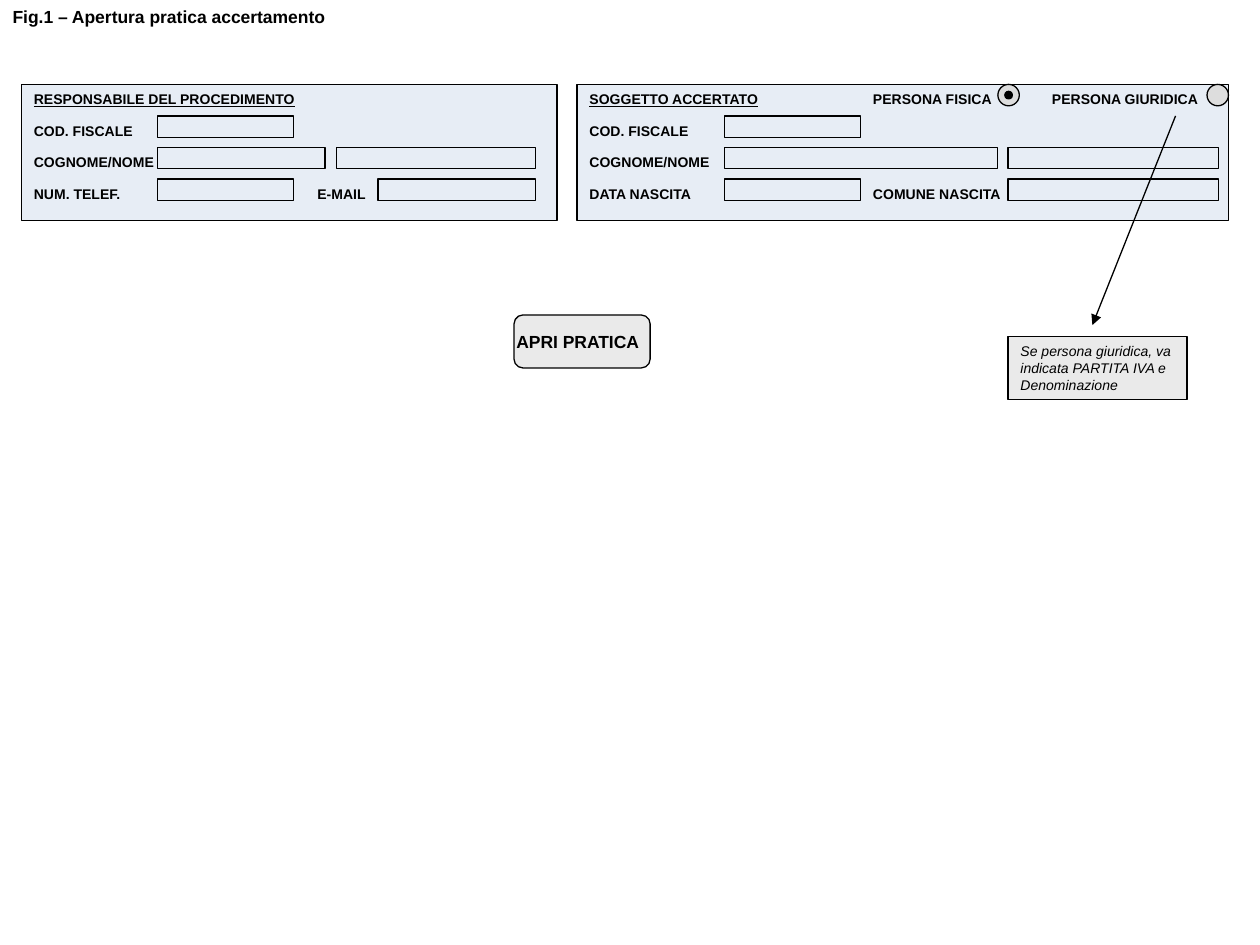
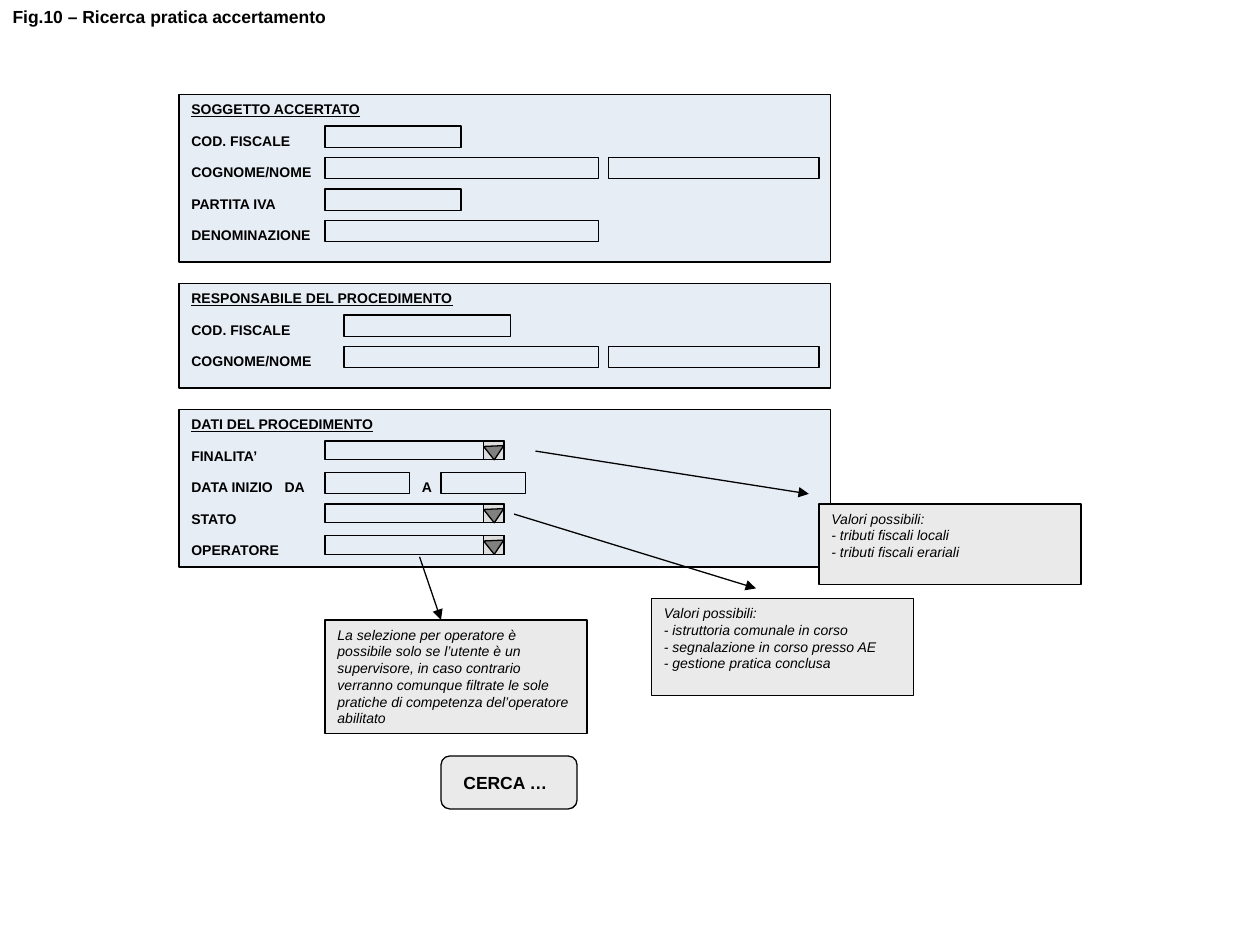
from dataclasses import dataclass

from lxml.etree import SubElement
from pptx import Presentation
from pptx.dml.color import RGBColor
from pptx.enum.shapes import MSO_CONNECTOR, MSO_SHAPE as Preset
from pptx.enum.text import MSO_ANCHOR, MSO_AUTO_SIZE, PP_ALIGN
from pptx.oxml.ns import qn
from pptx.shapes.autoshape import Shape
from pptx.slide import Slide
from pptx.util import Inches, Pt

# Shared look
FONT = "Arial"
INK = "000000"
PANEL_FILL = "E7EDF5"
NOTE_FILL = "EAEAEA"
CONTROL_FILL = "DDDDDD"
ARROW_FILL = "808080"
ROW_PITCH = 0.25
LABEL_HEIGHT = 0.24
FIELD_HEIGHT = 0.17
SELECT_HEIGHT = 0.15
SELECT_WIDTH = 1.42
SELECT_BUTTON = 0.16
RADIO_SIZE = 0.17
RADIO_DOT = 0.06


@dataclass
class Label:
    text: str
    left: float
    width: float
    underline: bool = False


@dataclass
class Field:
    left: float
    width: float


@dataclass
class Select:
    left: float


@dataclass
class Radio:
    left: float
    chosen: bool = False


Item = Label | Field | Select | Radio


@dataclass
class Panel:
    left: float
    top: float
    width: float
    height: float
    rows: list[list[Item]]  # the first row holds the heading


@dataclass
class Note:
    left: float
    top: float
    width: float
    height: float
    lines: list[str]


@dataclass
class Arrow:
    start: tuple[float, float]
    end: tuple[float, float]


@dataclass
class Button:
    left: float
    top: float
    caption: str
    caption_left: float
    caption_width: float


@dataclass
class Screen:
    title: str
    panels: list[Panel]
    arrows: list[Arrow]
    notes: list[Note]
    button: Button


def color(value: str) -> RGBColor:
    return RGBColor.from_string(value)


def write(shape: Shape, lines: list[str], size: float, bold: bool = False,
          italic: bool = False, underline: bool = False) -> None:
    frame = shape.text_frame
    frame.word_wrap = True
    frame.auto_size = MSO_AUTO_SIZE.NONE
    frame.vertical_anchor = MSO_ANCHOR.TOP
    frame.margin_left = frame.margin_right = Inches(0.1)
    frame.margin_top = frame.margin_bottom = Inches(0.05)
    paragraph = frame.paragraphs[0]
    paragraph.alignment = PP_ALIGN.LEFT
    for index, line in enumerate(lines):
        if index:
            paragraph.add_line_break()
        run = paragraph.add_run()
        run.text = line
        font = run.font
        font.name, font.size = FONT, Pt(size)
        font.bold, font.italic, font.underline = bold, italic, underline
        font.color.rgb = color(INK)


def draw_shape(slide: Slide, preset: Preset, left: float, top: float, width: float,
               height: float, fill: str | None = None) -> Shape:
    shape = slide.shapes.add_shape(
        preset, Inches(left), Inches(top), Inches(width), Inches(height))
    shape.shadow.inherit = False
    if fill:
        shape.fill.solid()
        shape.fill.fore_color.rgb = color(fill)
    else:
        shape.fill.background()
    shape.line.color.rgb = color(INK)
    shape.line.width = Pt(0.75)
    return shape


def draw_text(slide: Slide, text: str, left: float, top: float, width: float,
              height: float = LABEL_HEIGHT, size: float = 8, underline: bool = False) -> None:
    box = slide.shapes.add_textbox(
        Inches(left), Inches(top), Inches(width), Inches(height))
    write(box, [text], size, bold=True, underline=underline)


def draw_select(slide: Slide, left: float, top: float) -> None:
    draw_shape(slide, Preset.RECTANGLE, left, top, SELECT_WIDTH, SELECT_HEIGHT)
    button_left = left + SELECT_WIDTH - SELECT_BUTTON
    draw_shape(slide, Preset.RECTANGLE, button_left, top, SELECT_BUTTON,
               SELECT_HEIGHT, CONTROL_FILL)
    pointer = draw_shape(slide, Preset.ISOSCELES_TRIANGLE, button_left, top + 0.04,
                         SELECT_BUTTON, 0.11, ARROW_FILL)
    pointer.rotation = 177.6


def draw_radio(slide: Slide, radio: Radio, top: float) -> None:
    draw_shape(slide, Preset.OVAL, radio.left, top, RADIO_SIZE, RADIO_SIZE, CONTROL_FILL)
    if radio.chosen:
        inset = (RADIO_SIZE - RADIO_DOT) / 2
        draw_shape(slide, Preset.OVAL, radio.left + inset, top + inset,
                   RADIO_DOT, RADIO_DOT, INK)


def draw_item(slide: Slide, item: Item, top: float) -> None:
    match item:
        case Label():
            draw_text(slide, item.text, item.left, top, item.width,
                      underline=item.underline)
        case Field():
            draw_shape(slide, Preset.RECTANGLE, item.left, top, item.width, FIELD_HEIGHT)
        case Select():
            draw_select(slide, item.left, top)
        case Radio():
            draw_radio(slide, item, top)


def draw_panel(slide: Slide, panel: Panel) -> None:
    draw_shape(slide, Preset.RECTANGLE, panel.left, panel.top, panel.width,
               panel.height, PANEL_FILL)
    for index, row in enumerate(panel.rows):
        for item in row:
            draw_item(slide, item, panel.top + index * ROW_PITCH)


def draw_note(slide: Slide, note: Note) -> None:
    box = draw_shape(slide, Preset.RECTANGLE, note.left, note.top, note.width,
                     note.height, NOTE_FILL)
    write(box, note.lines, 8, italic=True)


def draw_arrow(slide: Slide, arrow: Arrow) -> None:
    connector = slide.shapes.add_connector(
        MSO_CONNECTOR.STRAIGHT, *map(Inches, arrow.start + arrow.end))
    connector.line.color.rgb = color(INK)
    connector.line.width = Pt(0.75)
    properties = connector._element.spPr
    SubElement(properties.find(qn("a:ln")), qn("a:tailEnd"), type="triangle")
    SubElement(properties, qn("a:effectLst"))


def draw_button(slide: Slide, button: Button) -> None:
    draw_shape(slide, Preset.ROUNDED_RECTANGLE, button.left, button.top,
               1.08, 0.42, NOTE_FILL)
    draw_text(slide, button.caption, button.caption_left, button.top + 0.08,
              button.caption_width, height=0.27, size=10)


def draw_title(slide: Slide, text: str) -> None:
    title = slide.shapes.title
    title.left, title.top = Inches(0), Inches(0)
    title.width, title.height = Inches(5.25), Inches(0.27)
    write(title, [text], 10, bold=True)


def draw_screen(slide: Slide, screen: Screen) -> None:
    draw_title(slide, screen.title)
    for panel in screen.panels:
        draw_panel(slide, panel)
    for note in screen.notes:
        draw_note(slide, note)
    for arrow in screen.arrows:
        draw_arrow(slide, arrow)
    draw_button(slide, screen.button)


# Opening a case
OPENING = Screen(
    "Fig.1 – Apertura pratica accertamento",
    panels=[
        Panel(0.17, 0.67, 4.25, 1.08, [
            [Label("RESPONSABILE DEL PROCEDIMENTO", 0.17, 4.67, underline=True)],
            [Label("COD. FISCALE", 0.17, 1), Field(1.25, 1.08)],
            [Label("COGNOME/NOME", 0.17, 1.28), Field(1.25, 1.33), Field(2.67, 1.58)],
            [Label("NUM. TELEF.", 0.17, 1.25), Field(1.25, 1.08),
             Label("E-MAIL", 2.42, 0.75), Field(3, 1.25)],
        ]),
        Panel(4.58, 0.67, 5.17, 1.08, [
            [Label("SOGGETTO ACCERTATO", 4.58, 2, underline=True),
             Label("PERSONA FISICA", 6.83, 1.17), Radio(7.92, chosen=True),
             Label("PERSONA GIURIDICA", 8.25, 1.42), Radio(9.58)],
            [Label("COD. FISCALE", 4.58, 1), Field(5.75, 1.08)],
            [Label("COGNOME/NOME", 4.58, 1.17), Field(5.75, 2.17), Field(8, 1.67)],
            [Label("DATA NASCITA", 4.58, 1.17), Field(5.75, 1.08),
             Label("COMUNE NASCITA", 6.83, 1.25), Field(8, 1.67)],
        ]),
    ],
    arrows=[Arrow((9.33, 0.92), (8.67, 2.58))],
    notes=[Note(8, 2.67, 1.42, 0.5, [
        "Se persona giuridica, va indicata PARTITA IVA e Denominazione"])],
    button=Button(4.08, 2.5, "APRI PRATICA", 4, 1.33),
)

# Searching for a case
SEARCH = Screen(
    "Fig.10 – Ricerca pratica accertamento",
    panels=[
        Panel(1.42, 0.75, 5.17, 1.33, [
            [Label("SOGGETTO ACCERTATO", 1.42, 2, underline=True)],
            [Label("COD. FISCALE", 1.42, 1), Field(2.58, 1.08)],
            [Label("COGNOME/NOME", 1.42, 1.17), Field(2.58, 2.17), Field(4.83, 1.67)],
            [Label("PARTITA IVA", 1.42, 1), Field(2.58, 1.08)],
            [Label("DENOMINAZIONE", 1.42, 1.17), Field(2.58, 2.17)],
        ]),
        Panel(1.42, 2.25, 5.17, 0.83, [
            [Label("RESPONSABILE DEL PROCEDIMENTO", 1.42, 2.83, underline=True)],
            [Label("COD. FISCALE", 1.42, 1.22), Field(2.73, 1.32)],
            [Label("COGNOME/NOME", 1.42, 1.56), Field(2.73, 2.02), Field(4.83, 1.67)],
        ]),
        Panel(1.42, 3.25, 5.17, 1.25, [
            [Label("DATI DEL PROCEDIMENTO", 1.42, 2.83, underline=True)],
            [Label("FINALITA’", 1.42, 1.33), Select(2.58)],
            [Label("DATA INIZIO", 1.42, 1), Label("DA", 2.16, 0.48), Field(2.58, 0.67),
             Label("A", 3.25, 0.32), Field(3.5, 0.67)],
            [Label("STATO", 1.42, 1.22), Select(2.58)],
            [Label("OPERATORE", 1.42, 1.22), Select(2.58)],
        ]),
    ],
    arrows=[
        Arrow((4.25, 3.58), (6.42, 3.92)),
        Arrow((4.08, 4.08), (6, 4.67)),
        Arrow((3.33, 4.42), (3.5, 4.92)),
    ],
    notes=[
        Note(6.5, 4, 2.08, 0.64, [
            "Valori possibili:", "- tributi fiscali locali", "- tributi fiscali erariali"]),
        Note(5.17, 4.75, 2.08, 0.77, [
            "Valori possibili:", "- istruttoria comunale in corso",
            "- segnalazione in corso presso AE", "- gestione pratica conclusa"]),
        Note(2.58, 4.92, 2.08, 0.9, [
            "La selezione per operatore è possibile solo se l’utente è un supervisore, "
            "in caso contrario verranno comunque filtrate le sole pratiche di competenza "
            "del’operatore abilitato"]),
    ],
    button=Button(3.5, 6, "CERCA …", 3.58, 1.08),
)


def main() -> None:
    deck = Presentation()
    deck.slide_width, deck.slide_height = Inches(10), Inches(7.5)
    title_only = deck.slide_layouts[5]
    for screen in (OPENING, SEARCH):
        draw_screen(deck.slides.add_slide(title_only), screen)
    deck.save("out.pptx")


if __name__ == "__main__":
    main()
